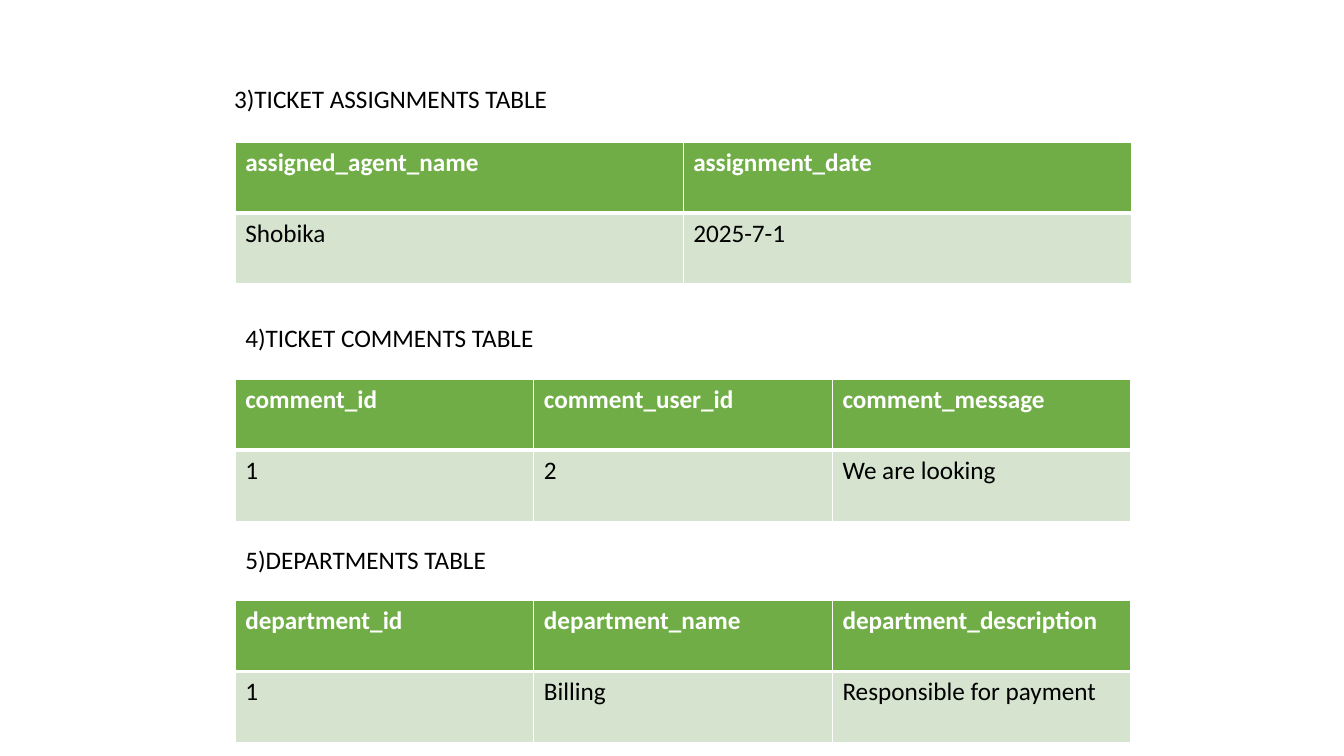
"""Build a slide with three captioned tables of a ticket system."""
from lxml import etree
from pptx import Presentation
from pptx.dml.color import RGBColor
from pptx.oxml.ns import qn
from pptx.util import Pt

WHITE = RGBColor(0xFF, 0xFF, 0xFF)
BLACK = RGBColor(0x00, 0x00, 0x00)
GREEN = RGBColor(0x70, 0xAD, 0x47)
PALE_GREEN = RGBColor(0xD5, 0xE3, 0xCF)

TABLE_LEFT = 168
TABLE_WIDTH = 640
ROW_HEIGHT = 50.7
CAPTION_HEIGHT = 29.5

SECTIONS = [
    ("3)TICKET ASSIGNMENTS TABLE", 160, 57, 101.5,
     [["assigned_agent_name", "assignment_date"],
      ["Shobika", "2025-7-1"]]),
    ("4)TICKET COMMENTS TABLE", TABLE_LEFT, 227.5, 271,
     [["comment_id", "comment_user_id", "comment_message"],
      ["1", "2", "We are looking"]]),
    ("5)DEPARTMENTS TABLE", TABLE_LEFT, 386, 429,
     [["department_id", "department_name", "department_description"],
      ["1", "Billing", "Responsible for payment"]]),
]


def write_cell(cell, text, color, bold):
    cell.text = text
    font = cell.text_frame.paragraphs[0].font
    font.name = "Calibri"
    font.size = Pt(18)
    font.bold = bold
    font.color.rgb = color


def add_borders(cell, widths):
    properties = cell._tc.get_or_add_tcPr()
    for side, width in zip(("lnL", "lnR", "lnT", "lnB"), widths):
        line = etree.SubElement(properties, qn(f"a:{side}"), w=str(Pt(width)))
        fill = etree.SubElement(line, qn("a:solidFill"))
        etree.SubElement(fill, qn("a:srgbClr"), val=str(WHITE))


deck = Presentation()
deck.slide_width = Pt(960)
deck.slide_height = Pt(540)
page = deck.slides.add_slide(deck.slide_layouts[6])

for caption, caption_left, caption_top, table_top, rows in SECTIONS:
    heading = page.shapes.add_table(
        1, 1, Pt(caption_left), Pt(caption_top), Pt(TABLE_WIDTH), Pt(CAPTION_HEIGHT)).table
    heading.first_row = False
    heading.horz_banding = False
    heading_cell = heading.cell(0, 0)
    write_cell(heading_cell, caption, BLACK, False)
    heading_cell.fill.background()

    table = page.shapes.add_table(
        len(rows), len(rows[0]), Pt(TABLE_LEFT), Pt(table_top),
        Pt(TABLE_WIDTH), Pt(ROW_HEIGHT * len(rows))).table
    for row_index, values in enumerate(rows):
        is_header = row_index == 0
        borders = (1, 1, 1, 3) if is_header else (1, 1, 3, 1)
        for column_index, value in enumerate(values):
            cell = table.cell(row_index, column_index)
            write_cell(cell, value, WHITE if is_header else BLACK, is_header)
            add_borders(cell, borders)
            cell.fill.solid()
            cell.fill.fore_color.rgb = GREEN if is_header else PALE_GREEN

deck.save("out.pptx")
